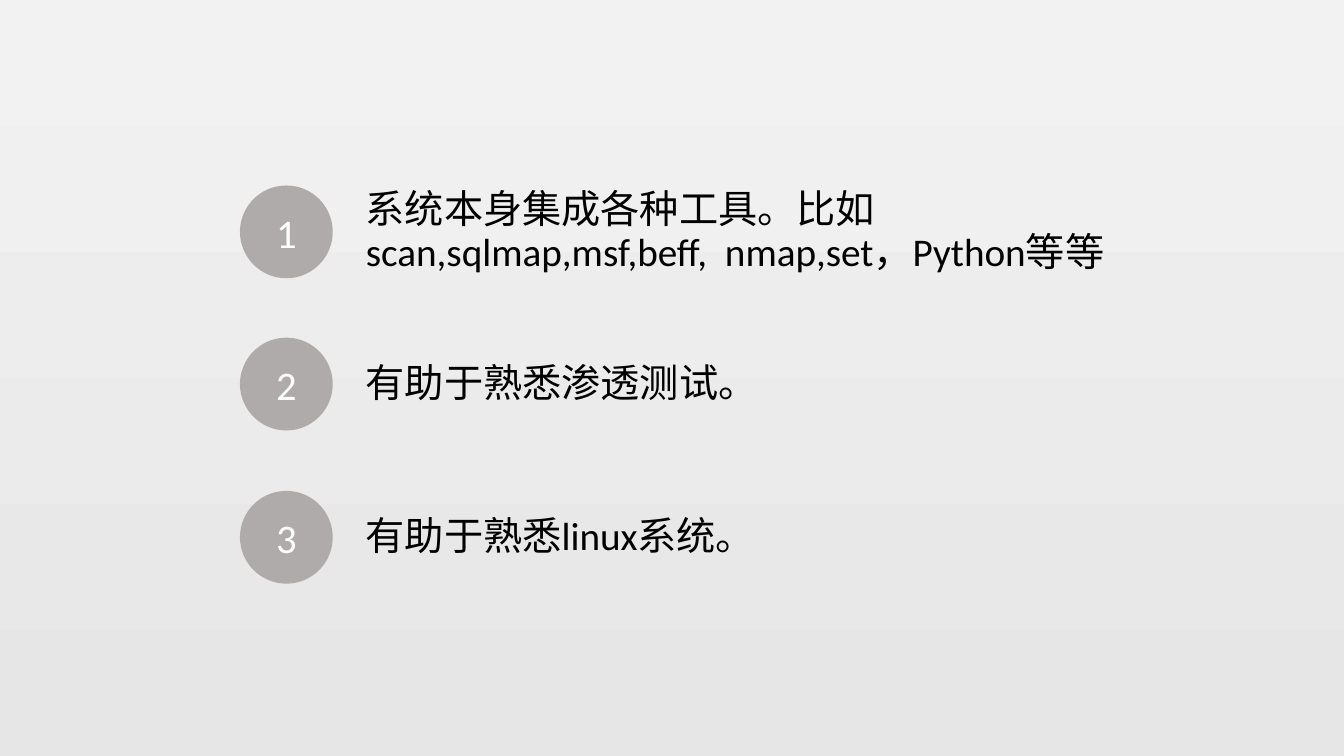
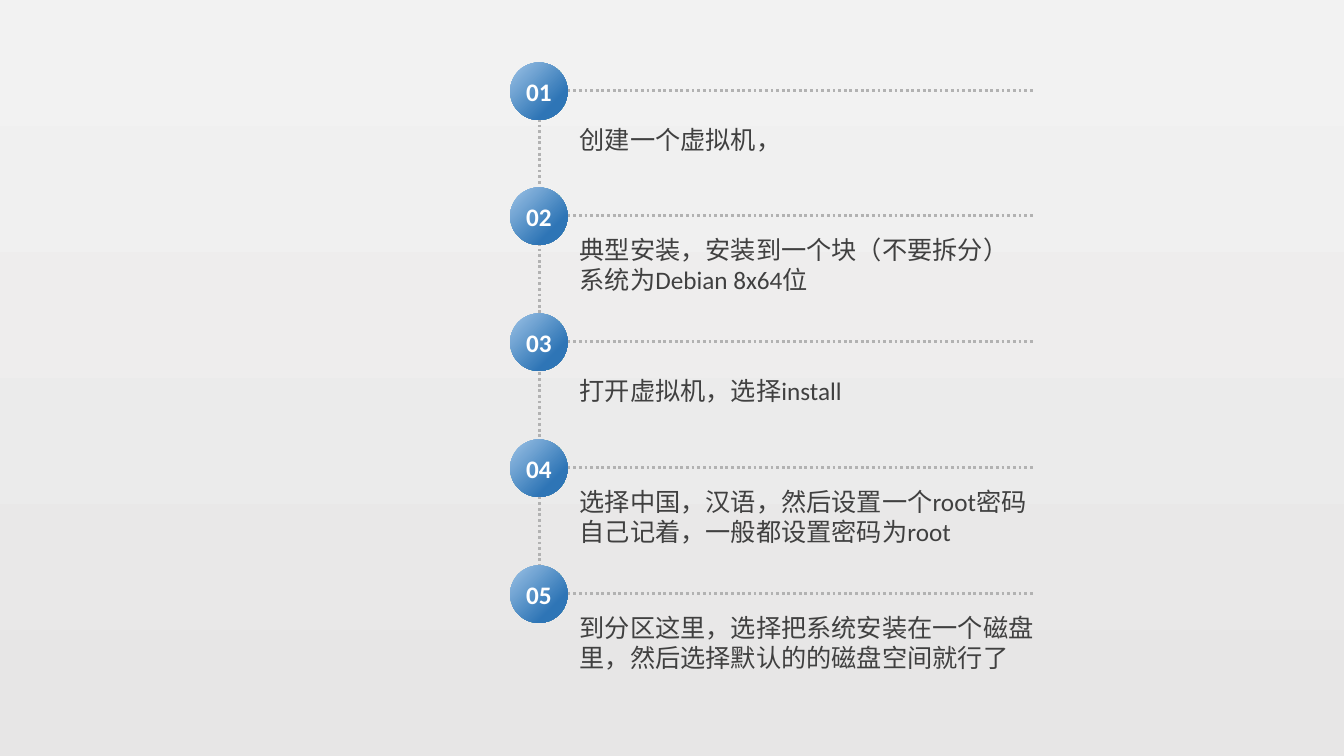
from pptx import Presentation
from pptx import util as u
from pptx.dml.color import RGBColor
from pptx.enum import dml, shapes, text
from pptx.oxml.ns import qn
from lxml import etree

PX = 9144  # EMU; 100 px to the inch


def px(length):
    return u.Emu(length * PX)


def colour(code):
    return RGBColor.from_string(code)


def write(frame, *paragraphs, size=18, ink="404040", bold=False, align=None,
          spacing=None, inset=None):
    frame.word_wrap = True
    frame.vertical_anchor = text.MSO_ANCHOR.MIDDLE
    if inset is not None:
        frame.margin_left = frame.margin_right = px(inset)
        frame.margin_top = frame.margin_bottom = px(inset)
    for index, words in enumerate(paragraphs):
        paragraph = frame.add_paragraph() if index else frame.paragraphs[0]
        paragraph.alignment = align
        paragraph.line_spacing = spacing
        run = paragraph.add_run()
        run.text = words
        run.font.name = Deck.FONT
        run.font.size = u.Pt(size)
        run.font.bold = bold
        run.font.color.rgb = colour(ink)


def blend(fill, start, end, angle, end_position=1.0):
    """Fill with two colours; the angle runs clockwise from left to right."""
    fill.gradient()
    fill.gradient_angle = 360 - angle
    first, last = fill.gradient_stops
    first.color.rgb, first.position = colour(start), 0.0
    last.color.rgb, last.position = colour(end), end_position


class Deck:
    FONT = "Calibri"
    BACKGROUND = "F2F2F2", "E7E6E6"
    GREY = "AFABAB"
    BLUES = "9DC3E6", "2E75B6"
    DOTS = "B2B2B2"

    def __init__(self):
        self.presentation = Presentation()
        self.presentation.slide_width = px(1333)
        self.presentation.slide_height = px(750)
        self.slide = None
        blend(self.presentation.slide_master.background.fill,
              *self.BACKGROUND, angle=90)

    def new_slide(self):
        blank = self.presentation.slide_layouts[6]
        self.slide = self.presentation.slides.add_slide(blank)

    def circle(self, left, top, diameter, label, shaded=False, **style):
        shape = self.slide.shapes.add_shape(
            shapes.MSO_SHAPE.OVAL,
            px(left), px(top), px(diameter), px(diameter))
        shape.shadow.inherit = False
        shape.line.fill.background()
        if shaded:
            blend(shape.fill, *self.BLUES, angle=45, end_position=0.74)
        else:
            shape.fill.solid()
            shape.fill.fore_color.rgb = colour(self.GREY)
        write(shape.text_frame, label, ink="FFFFFF",
              align=text.PP_ALIGN.CENTER, **style)

    def text_box(self, left, top, width, height, *paragraphs, **style):
        box = self.slide.shapes.add_textbox(
            px(left), px(top), px(width), px(height))
        write(box.text_frame, *paragraphs, **style)

    def dotted_line(self, left, top, right, bottom):
        line = self.slide.shapes.add_connector(
            shapes.MSO_CONNECTOR.STRAIGHT,
            px(left), px(top), px(right), px(bottom))
        line.line.color.rgb = colour(self.DOTS)
        line.line.width = u.Pt(2)
        line.line.dash_style = dml.MSO_LINE.ROUND_DOT
        etree.SubElement(line._element.spPr, qn("a:effectLst"))


def add_benefits(deck):
    benefits = [
        "系统本身集成各种工具。比如scan,sqlmap,msf,beff,  nmap,set，Python等等",
        "有助于熟悉渗透测试。",
        "有助于熟悉linux系统。",
    ]
    deck.new_slide()
    for index, benefit in enumerate(benefits):
        top = 184 + index * 303 // 2
        deck.circle(238, top, 92, str(index + 1), size=29)
        deck.text_box(353, top - 7, 812, 107, benefit,
                      size=28, ink="000000", spacing=0.9)


def add_install_steps(deck):
    steps = [
        ["创建一个虚拟机，"],
        ["典型安装，安装到一个块（不要拆分） 系统为Debian 8x64位"],
        ["打开虚拟机，选择install"],
        ["选择中国，汉语，然后设置一个root密码", "自己记着，一般都设置密码为root"],
        ["到分区这里，选择把系统安装在一个磁盘里，然后选择默认的的磁盘空间就行了"],
    ]
    axis, right = 535, 1025
    deck.new_slide()
    deck.dotted_line(axis, 90, axis, 614)
    for index, step in enumerate(steps):
        middle = 90 + index * 499 // 4
        deck.dotted_line(axis, middle, right, middle)
        deck.circle(axis - 29, middle - 28, 57, f"{index + 1:02}",
                    shaded=True, bold=True, inset=0)
        deck.text_box(575, middle + 1, right - 575, 95, *step, inset=0)


def main():
    deck = Deck()
    add_benefits(deck)
    add_install_steps(deck)
    deck.presentation.save("out.pptx")


if __name__ == "__main__":
    main()
